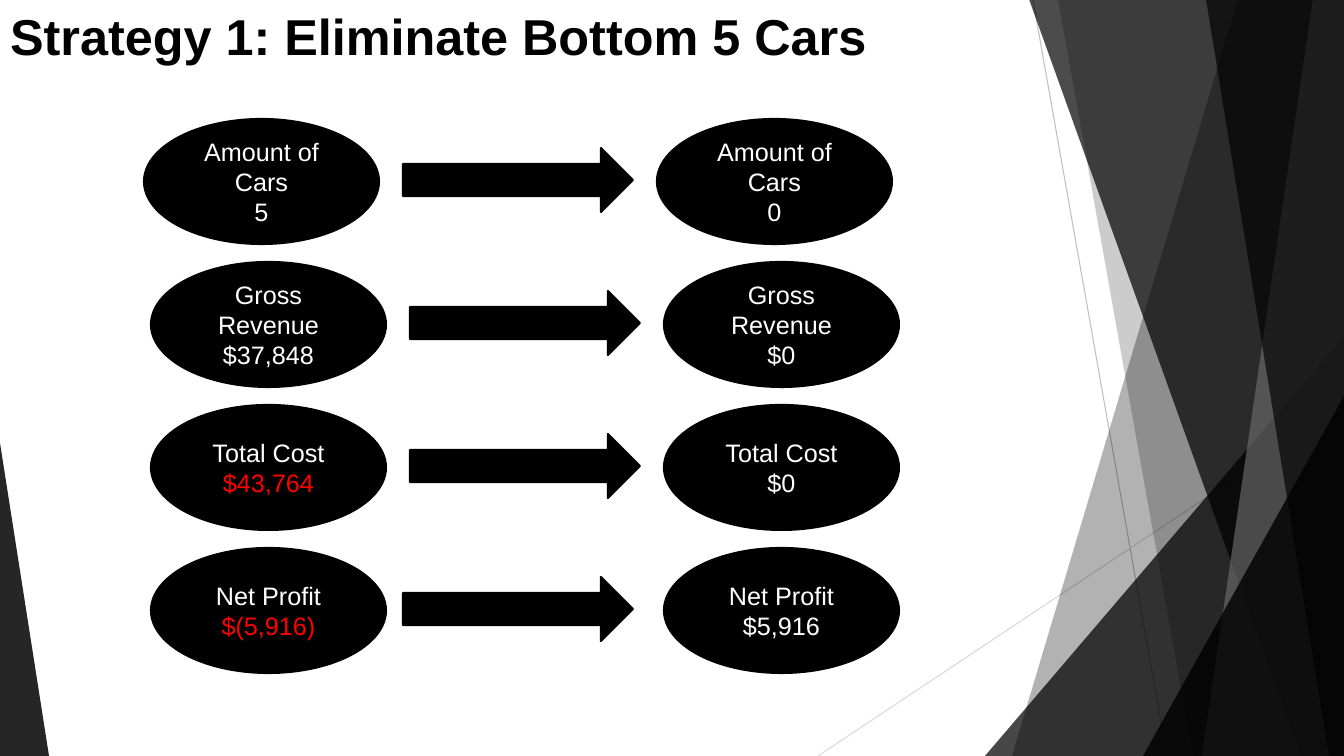
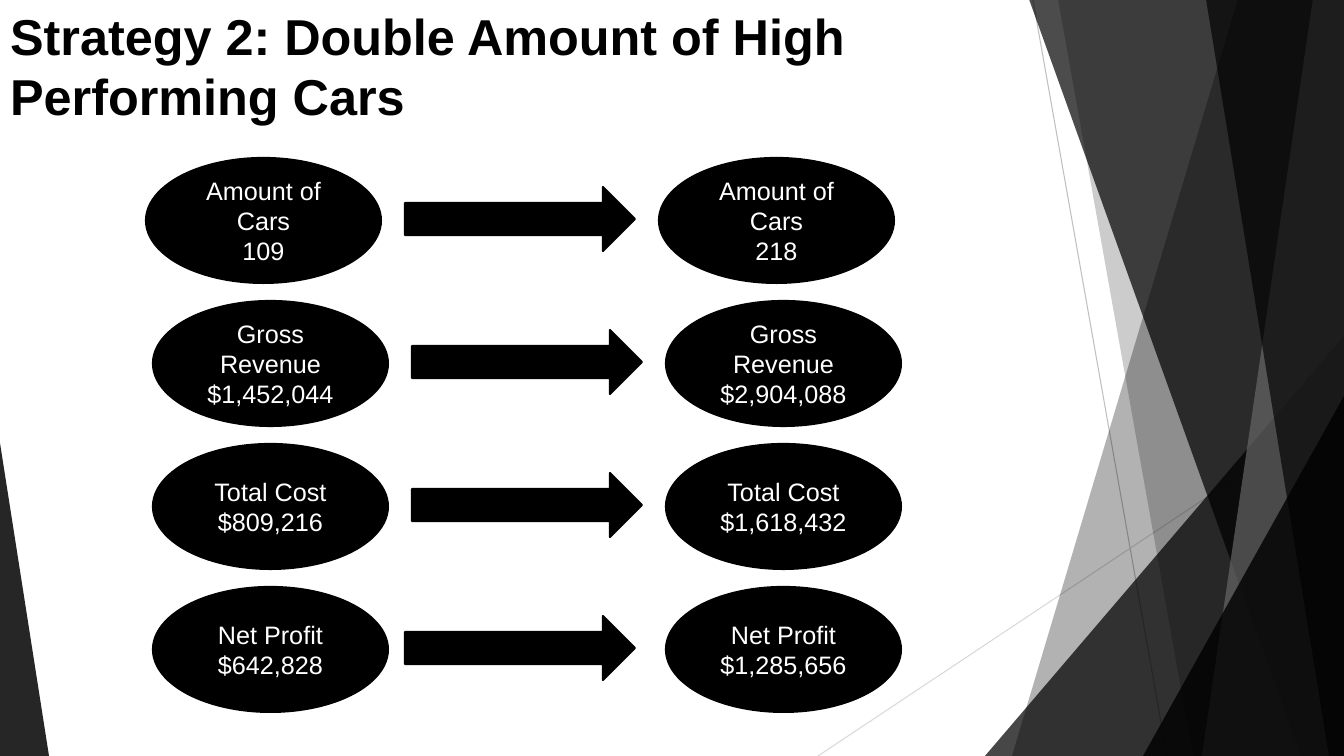
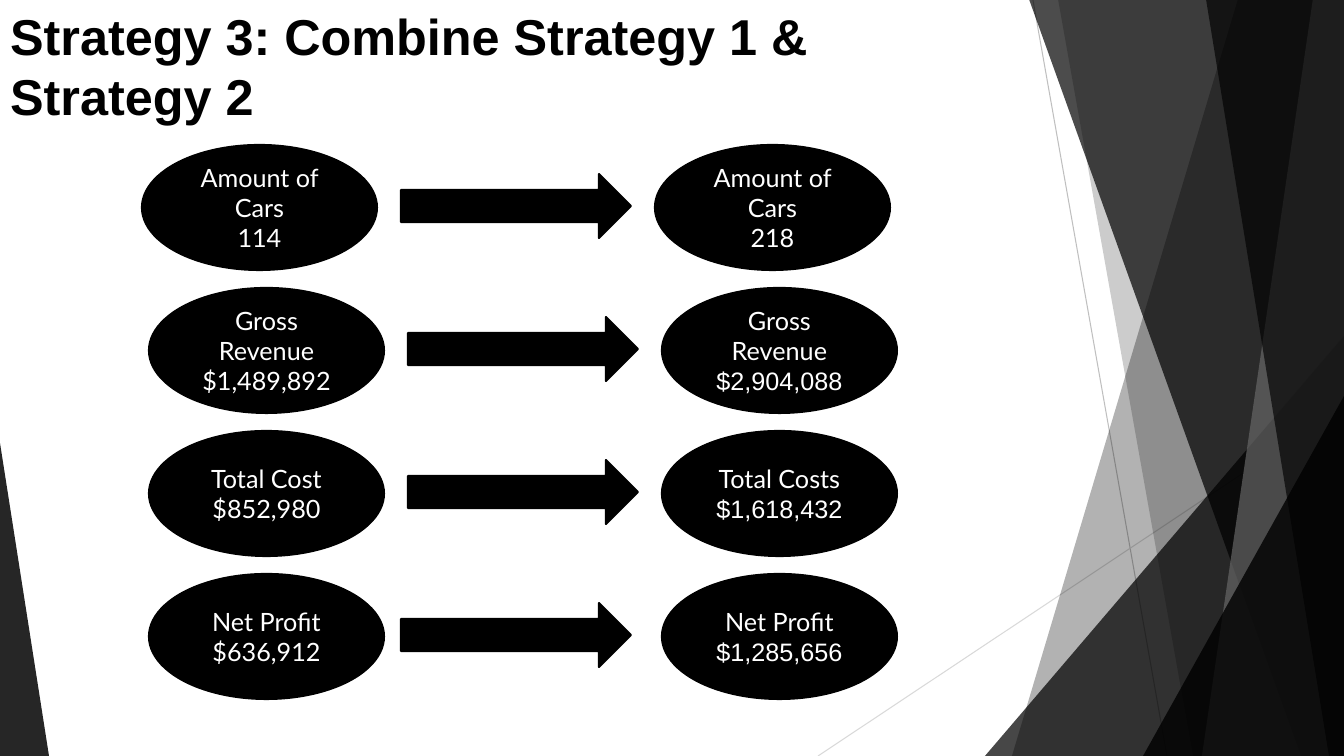
from lxml import etree
from pptx import Presentation
from pptx.dml.color import RGBColor
from pptx.enum.shapes import MSO_CONNECTOR, MSO_SHAPE
from pptx.enum.text import MSO_ANCHOR, MSO_AUTO_SIZE, PP_ALIGN
from pptx.oxml.ns import qn
from pptx.util import Pt

W, H = 1344, 756
PX = 12192000 / W

COLORS = {
    "black": "000000",
    "white": "FFFFFF",
    "red": "FF0000",
    "gray": "666666",
    "line": "BFBFBF",
    "pale line": "D9D9D9",
}

# Thin lines behind the facets: x1, y1, x2, y2, colour
RAYS = [
    (1033, 0, 1167, 756, "line"),
    (1344, 406, 818, 756, "pale line"),
]

# Bands run to the right edge: top x, bottom x
# Corners are right triangles: left, top, width, height, apex
FACETS = [
    ("band", (1238, 1012), "black", 30),
    ("band", (1058, 1193), "black", 20),
    ("corner", (985, 336, 359, 420, 1), "black", 72),
    ("band", (1029, 1301), "black", 70),
    ("band", (1313, 1202), "gray", 70),
    ("band", (1206, 1329), "black", 65),
    ("corner", (1143, 396, 201, 360, 1), "black", 80),
    ("corner", (0, 443, 49, 313, 0), "black", 85),
]

OVAL_W, OVAL_H = 235, 125
ARROW_W, ARROW_H = 230, 64
ROW_STEP = 143
AFTER_DX = 513
ARROW_DX, ARROW_DY = 259, 29
OVAL_INDENTS = (0, 7, 7, 7)
ARROW_INDENTS = (0, 7, 7, 0)
LOSSES = ("$43,764", "$(5,916)")

# Rows hold label and value before, then label and value after
STRATEGIES = [
    dict(title="Strategy 1: Eliminate Bottom 5 Cars", title_w=948,
         left=144, top=119, font="Arial",
         rows=[("Amount of Cars", "5", "Amount of Cars", "0"),
               ("Gross Revenue", "$37,848", "Gross Revenue", "$0"),
               ("Total Cost", "$43,764", "Total Cost", "$0"),
               ("Net Profit", "$(5,916)", "Net Profit", "$5,916")]),
    dict(title="Strategy 2: Double Amount of High Performing Cars", title_w=1046,
         left=146, top=158, font="Arial",
         rows=[("Amount of Cars", "109", "Amount of Cars", "218"),
               ("Gross Revenue", "$1,452,044", "Gross Revenue", "$2,904,088"),
               ("Total Cost", "$809,216", "Total Cost", "$1,618,432"),
               ("Net Profit", "$642,828", "Net Profit", "$1,285,656")]),
    dict(title="Strategy 3: Combine Strategy 1 & Strategy 2", title_w=974,
         left=142, top=145, font="Lato",
         rows=[("Amount of Cars", "114", "Amount of Cars", "218"),
               ("Gross Revenue", "$1,489,892", "Gross Revenue", "$2,904,088"),
               ("Total Cost", "$852,980", "Total Costs", "$1,618,432"),
               ("Net Profit", "$636,912", "Net Profit", "$1,285,656")]),
]


def px(*lengths):
    return [round(n * PX) for n in lengths]


def add_black_shape(s, kind, x, y, w, h):
    sp = s.shapes.add_shape(kind, *px(x, y, w, h))
    sp.shadow.inherit = False
    sp.fill.solid()
    sp.fill.fore_color.rgb = RGBColor.from_string(COLORS["black"])
    sp.line.color.rgb = RGBColor.from_string(COLORS["black"])
    sp.line.width = Pt(1.5)
    return sp


prs = Presentation()
prs.slide_width, prs.slide_height = px(W, H)
layout = prs.slide_layouts[5]
for ph in list(layout.placeholders):
    if ph.placeholder_format.idx != 0:
        ph.element.getparent().remove(ph.element)

# The backdrop is drawn on the first slide, then moved to the shared layout
first = prs.slides.add_slide(layout)
backdrop = []
for x1, y1, x2, y2, color in RAYS:
    ray = first.shapes.add_connector(MSO_CONNECTOR.STRAIGHT, *px(x1, y1, x2, y2))
    ray.line.color.rgb = RGBColor.from_string(COLORS[color])
    ray.line.width = Pt(0.75)
    etree.SubElement(ray.element.spPr, qn("a:effectLst"))
    backdrop.append(ray)

for kind, place, color, opacity in FACETS:
    if kind == "band":
        top_x, bottom_x = place
        outline = first.shapes.build_freeform(top_x, -1, scale=PX)
        outline.add_line_segments([(W, -1), (W, H), (bottom_x, H)])
        facet = outline.convert_to_shape()
    else:
        *box, apex = place
        facet = first.shapes.add_shape(MSO_SHAPE.ISOSCELES_TRIANGLE, *px(*box))
        facet.adjustments[0] = apex
    facet.shadow.inherit = False
    facet.line.fill.background()
    facet.fill.solid()
    facet.fill.fore_color.rgb = RGBColor.from_string(COLORS[color])
    srgb = facet.element.spPr.find(qn("a:solidFill")).find(qn("a:srgbClr"))
    etree.SubElement(srgb, qn("a:alpha"), val=str(opacity * 1000))
    backdrop.append(facet)

for i, sp in enumerate(backdrop):
    layout.shapes.element.insert(2 + i, sp.element)

for n, plan in enumerate(STRATEGIES):
    s = prs.slides.add_slide(layout) if n else first
    title = s.shapes.title
    title.left, title.top, title.width, title.height = px(0, 0, plan["title_w"], 145)
    tf = title.text_frame
    tf.text = plan["title"]
    tf.word_wrap = True
    tf.auto_size = MSO_AUTO_SIZE.NONE
    tf.vertical_anchor = MSO_ANCHOR.TOP
    p = tf.paragraphs[0]
    p.alignment = PP_ALIGN.LEFT
    font = p.runs[0].font
    font.name, font.size, font.bold = "Arial", Pt(36), True
    font.color.rgb = RGBColor.from_string(COLORS["black"])

    for i, (label, before, after_label, after) in enumerate(plan["rows"]):
        x = plan["left"] + OVAL_INDENTS[i]
        y = plan["top"] + i * ROW_STEP
        after_font = "Arial" if i else plan["font"]
        for oval_x, name, value, value_font in (
                (x, label, before, plan["font"]),
                (x + AFTER_DX, after_label, after, after_font)):
            oval = add_black_shape(s, MSO_SHAPE.OVAL, oval_x, y, OVAL_W, OVAL_H)
            tf = oval.text_frame
            tf.text = f"{name}\n{value}"
            tf.word_wrap = True
            tf.vertical_anchor = MSO_ANCHOR.MIDDLE
            value_color = "red" if value in LOSSES else "white"
            styles = ((plan["font"], "white"), (value_font, value_color))
            for p, (typeface, color) in zip(tf.paragraphs, styles):
                p.alignment = PP_ALIGN.CENTER
                font = p.runs[0].font
                font.name, font.size = typeface, Pt(18)
                font.color.rgb = RGBColor.from_string(COLORS[color])
        add_black_shape(s, MSO_SHAPE.RIGHT_ARROW,
                        plan["left"] + ARROW_DX + ARROW_INDENTS[i], y + ARROW_DY,
                        ARROW_W, ARROW_H)

prs.save("out.pptx")
